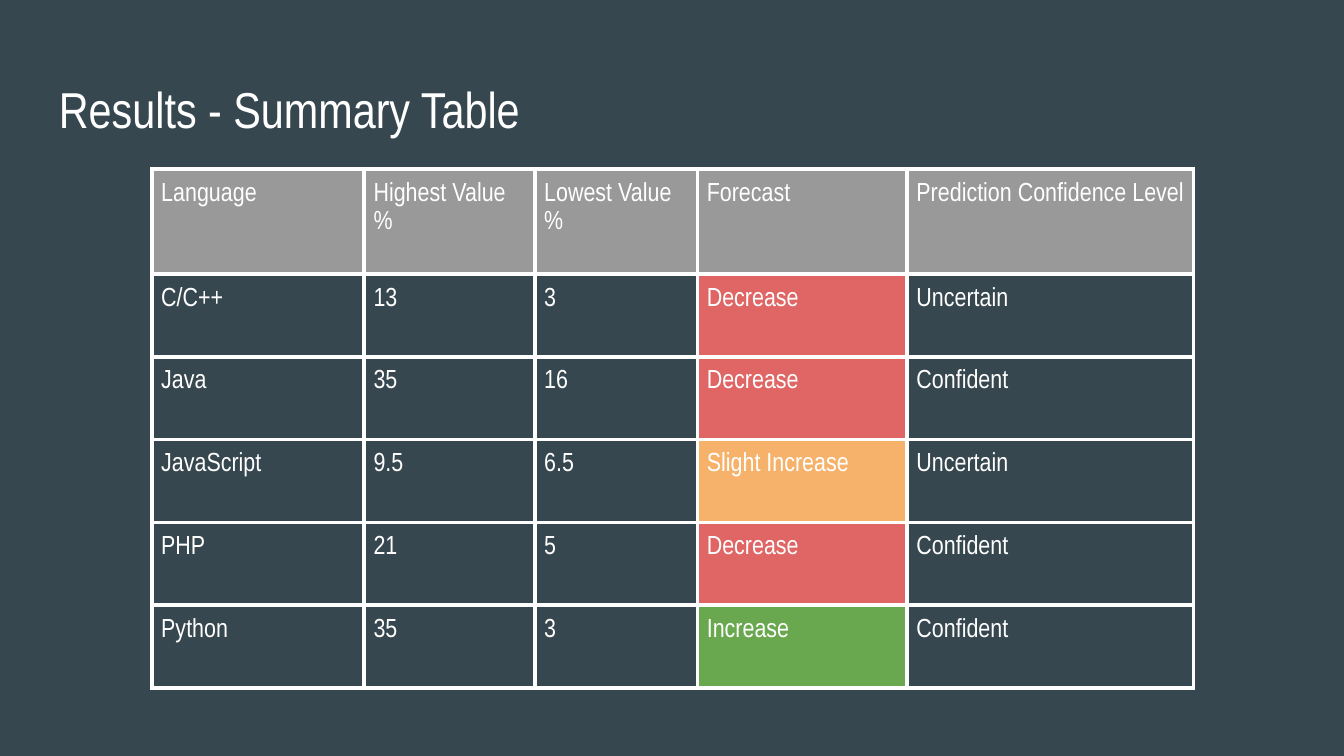
from lxml.etree import SubElement
from pptx import Presentation
from pptx.dml.color import RGBColor
from pptx.enum.text import MSO_ANCHOR
from pptx.oxml.ns import qn
from pptx.util import Inches, Pt

TITLE = "Results - Summary Table"
HEADER = ("Language", "Highest Value %", "Lowest Value %", "Forecast", "Prediction Confidence Level")
RESULTS = [
    ("C/C++", "13", "3", "Decrease", "Uncertain"),
    ("Java", "35", "16", "Decrease", "Confident"),
    ("JavaScript", "9.5", "6.5", "Slight Increase", "Uncertain"),
    ("PHP", "21", "5", "Decrease", "Confident"),
    ("Python", "35", "3", "Increase", "Confident"),
]
FORECAST_COLORS = {"Decrease": "E06666", "Slight Increase": "F6B26B", "Increase": "6AA84F"}
BACKGROUND, HEADER_FILL, WHITE = "37474F", "999999", "FFFFFF"
FONT = "Arial Narrow"
COLUMN_WIDTHS = (1.58, 1.27, 1.21, 1.56, 2.13)
SUMMARY_HEIGHT, HEADER_HEIGHT = 3.86, 0.78


def paint(fill, color):
    fill.solid()
    fill.fore_color.rgb = RGBColor.from_string(color)


def write(frame, text, size):
    frame.text = text
    font = frame.paragraphs[0].runs[0].font
    font.name, font.size = FONT, Pt(size)
    font.color.rgb = RGBColor.from_string(WHITE)


def set_margins(target, inches, right):
    target.margin_left = target.margin_top = target.margin_bottom = Inches(inches)
    target.margin_right = Inches(right)


def add_borders(cell):
    properties = cell._tc.get_or_add_tcPr()
    for position, side in enumerate(("a:lnL", "a:lnR", "a:lnT", "a:lnB")):
        border = SubElement(properties, qn(side), w=str(Pt(2.25)))
        properties.insert(position, border)
        fill = SubElement(border, qn("a:solidFill"))
        SubElement(fill, qn("a:srgbClr"), val=WHITE)


prs = Presentation()
prs.slide_width = Inches(10)
prs.slide_height = prs.slide_width * 9 // 16
slide = prs.slides.add_slide(prs.slide_layouts[6])
paint(slide.background.fill, BACKGROUND)

title = slide.shapes.add_textbox(Inches(0.34), Inches(0.49), Inches(9.32), Inches(0.63)).text_frame
title.word_wrap = True
title.vertical_anchor = MSO_ANCHOR.MIDDLE
set_margins(title, 0.1, 0.1)
write(title, TITLE, 27)

rows = [HEADER] + RESULTS
result_height = (SUMMARY_HEIGHT - HEADER_HEIGHT) / len(RESULTS)
row_heights = [HEADER_HEIGHT] + [result_height] * len(RESULTS)
summary = slide.shapes.add_table(
    len(rows), len(HEADER), Inches(1.13), Inches(1.26),
    Inches(sum(COLUMN_WIDTHS)), Inches(SUMMARY_HEIGHT)).table
for column, width in zip(summary.columns, COLUMN_WIDTHS):
    column.width = Inches(width)

for r, (values, height) in enumerate(zip(rows, row_heights)):
    summary.rows[r].height = Inches(height)
    for c, value in enumerate(values):
        cell = summary.cell(r, c)
        write(cell.text_frame, value, 14)
        cell.text_frame.paragraphs[0].line_spacing = 1.15
        set_margins(cell, 0.07, 0.06)
        color = HEADER_FILL if r == 0 else FORECAST_COLORS.get(value)
        if color:
            paint(cell.fill, color)
        else:
            cell.fill.background()
        add_borders(cell)

prs.save("out.pptx")
